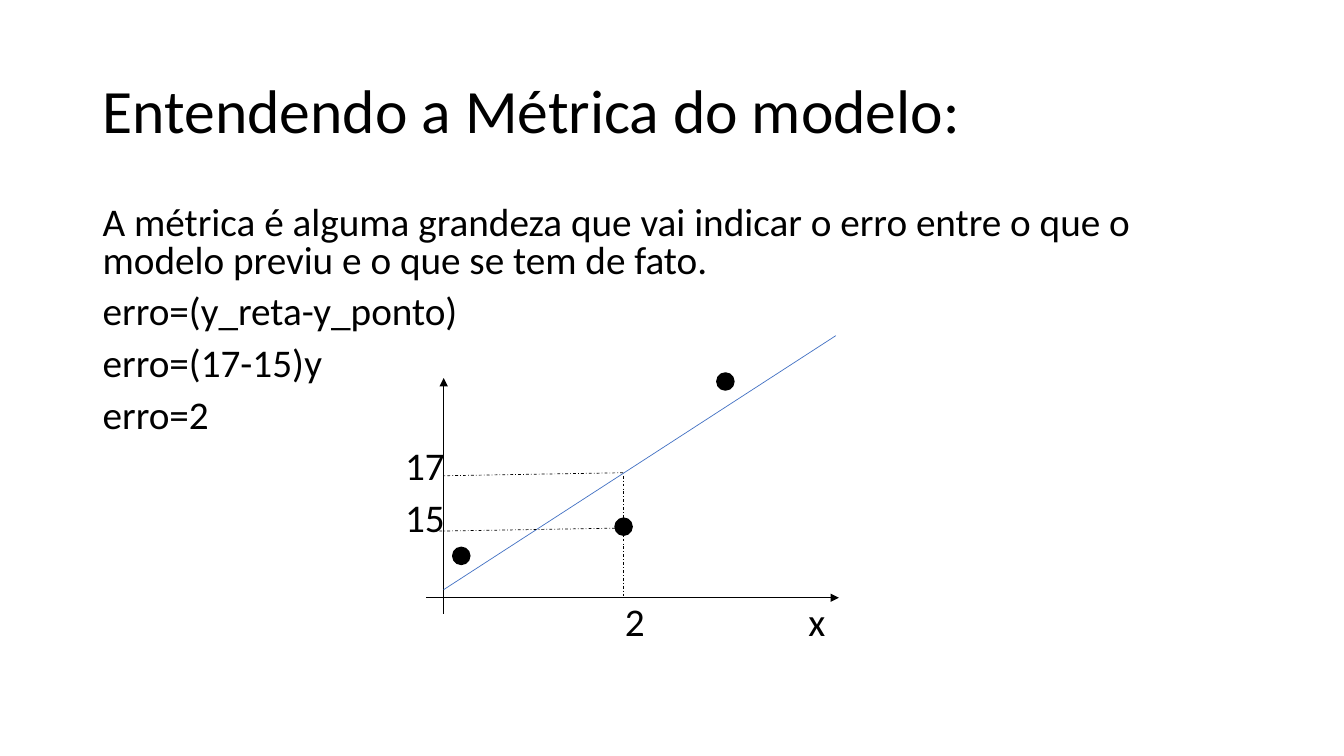
from dataclasses import dataclass

from lxml import etree
from pptx import Presentation
from pptx.dml.color import RGBColor
from pptx.enum.dml import MSO_LINE
from pptx.enum.shapes import MSO_CONNECTOR, MSO_SHAPE
from pptx.enum.text import MSO_ANCHOR
from pptx.oxml.ns import qn
from pptx.util import Inches, Pt

STRAIGHT = MSO_CONNECTOR.STRAIGHT
OVAL = MSO_SHAPE.OVAL
DASH = MSO_LINE.DASH_DOT
TOP, MIDDLE = MSO_ANCHOR.TOP, MSO_ANCHOR.MIDDLE


@dataclass(frozen=True)
class Theme:
    font: str = "Calibri"
    ink: str = "000000"
    blue: str = "4472C4"
    title: float = 44
    body: float = 28
    thin: float = 0.5
    edge: float = 1


THEME = Theme()
DOT = 1.7  # point diameter in cells


def cell(n):
    """Length of n grid cells; the slide has 133.3 columns and 75 rows."""
    return Inches(n / 10)


def color(code):
    return RGBColor.from_string(code)


def add_box(slide, col, row, cols, rows, anchor=TOP):
    box = slide.shapes.add_textbox(cell(col), cell(row), cell(cols), cell(rows))
    frame = box.text_frame
    frame.word_wrap = True
    frame.vertical_anchor = anchor
    return frame


def add_text(frame, text, size=THEME.body, lead=0.8, before=10, indent=0, tabs=()):
    """Fill the empty first paragraph, or append a new one."""
    para = frame.paragraphs[0]
    if para.runs:
        para = frame.add_paragraph()
    para.line_spacing = lead
    para.space_before = Pt(before)
    props = para._p.get_or_add_pPr()
    if indent:
        props.set("marL", str(cell(indent)))
    if tabs:
        stops = etree.SubElement(props, qn("a:tabLst"))
        for stop in tabs:
            etree.SubElement(stops, qn("a:tab"), pos=str(cell(stop)), algn="l")
    run = para.add_run()
    run.text = text
    run.font.name = THEME.font
    run.font.size = Pt(size)
    run.font.color.rgb = color(THEME.ink)


def add_line(slide, start, end, ink=THEME.ink, dash=None, arrow=False):
    ends = [cell(n) for n in (*start, *end)]
    link = slide.shapes.add_connector(STRAIGHT, *ends)
    link.line.color.rgb = color(ink)
    link.line.width = Pt(THEME.thin)
    if dash:
        link.line.dash_style = dash
    if arrow:
        etree.SubElement(link.line._get_or_add_ln(), qn("a:tailEnd"), type="triangle")
    etree.SubElement(link._element.spPr, qn("a:effectLst"))


def add_dot(slide, col, row):
    dot = slide.shapes.add_shape(OVAL, cell(col), cell(row), cell(DOT), cell(DOT))
    dot.shadow.inherit = False
    dot.fill.solid()
    dot.fill.fore_color.rgb = color(THEME.ink)
    dot.line.color.rgb = color(THEME.ink)
    dot.line.width = Pt(THEME.edge)


def main():
    deck = Presentation()
    deck.slide_width, deck.slide_height = Inches(13.33), Inches(7.5)
    slide = deck.slides.add_slide(deck.slide_layouts[6])

    # Title
    head = add_box(slide, 9.2, 4, 115, 14.5, MIDDLE)
    add_text(head, "Entendendo a Métrica do modelo:", size=THEME.title, lead=0.9, before=0)

    # Definition and error formula
    body = add_box(slide, 9.2, 20, 115, 47.6)
    for text in (
        "A métrica é alguma grandeza que vai indicar o erro entre o que o "
        "modelo previu e o que se tem de fato.",
        "erro=(y_reta-y_ponto)",
        "erro=(17-15)\ty",
        "erro=2",
    ):
        add_text(body, text)

    # Axis values
    for text in ("17", "15"):
        add_text(body, text, indent=30)
    add_text(body, "\t2\tx", before=47.3, tabs=(51.8, 70))

    # Axes
    left, base = 44, 59.3
    add_line(slide, (42.3, base), (83.2, base), arrow=True)
    add_line(slide, (left, 60.9), (left, 37.5), arrow=True)

    # Data points
    for spot in ((44.9, 54.3), (71.1, 37), (61, 51.4)):
        add_dot(slide, *spot)

    # Fitted line
    add_line(slide, (left, 58.5), (82.9, 33.3), ink=THEME.blue)

    # Guides from the middle point and its prediction
    guide = 61.8
    for start, end in (
        ((guide, 47.2), (guide, base)),
        ((guide, 46.9), (left, 47.2)),
        ((61, 52.4), (43.1, 52.7)),
    ):
        add_line(slide, start, end, dash=DASH)

    deck.save("out.pptx")


if __name__ == "__main__":
    main()
